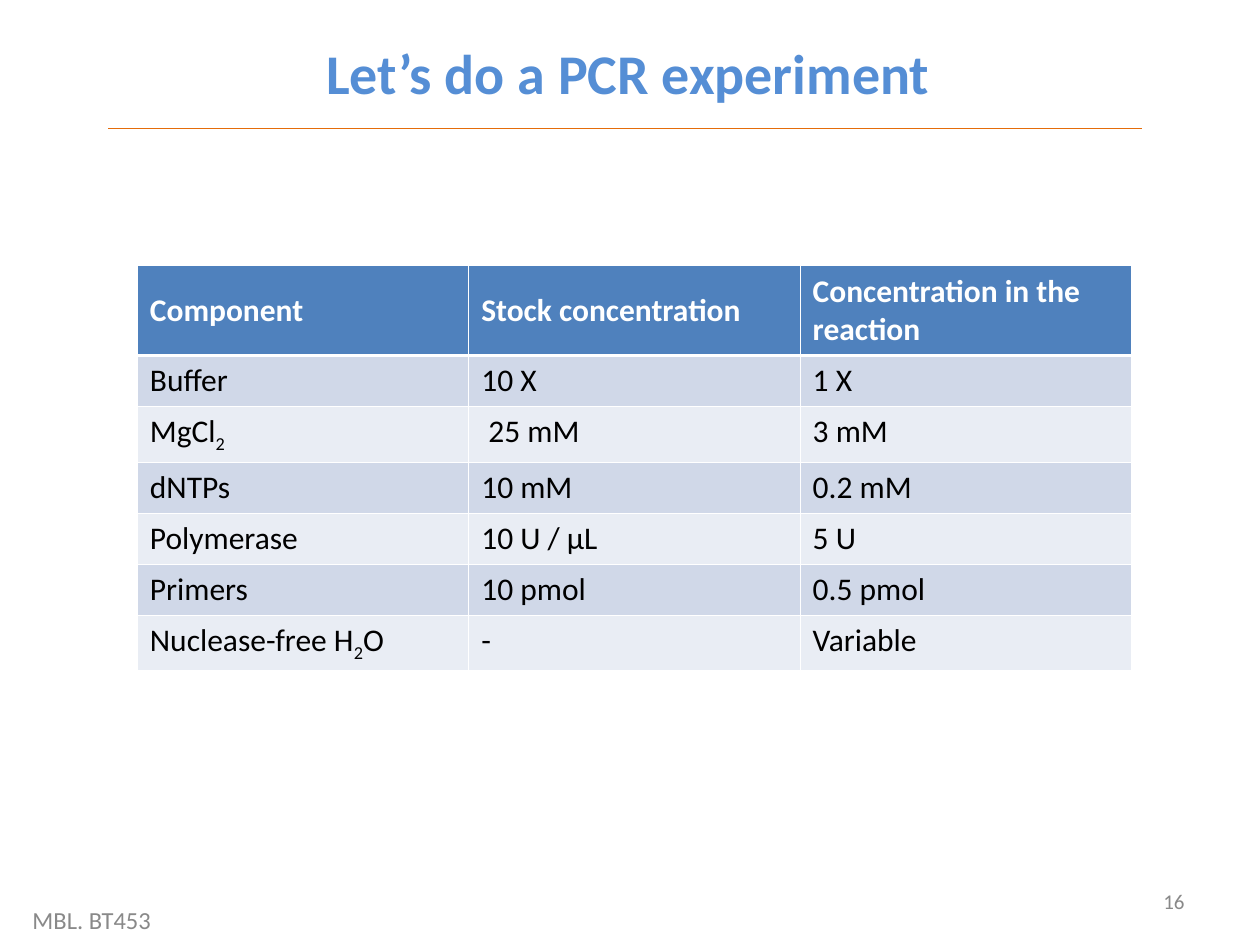
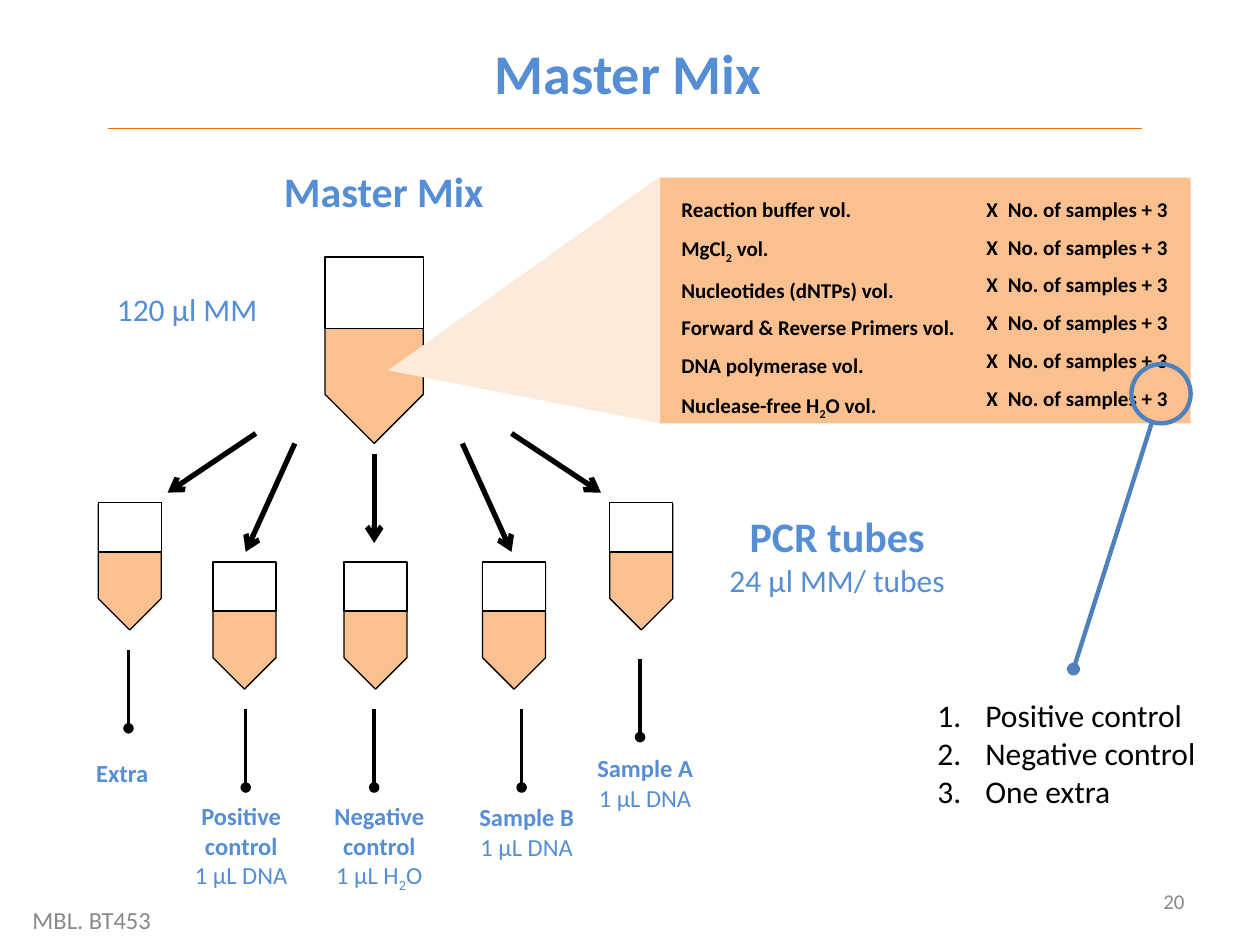
from lxml.etree import SubElement
from pptx import Presentation
from pptx.dml.color import RGBColor
from pptx.enum.shapes import MSO_CONNECTOR, MSO_SHAPE
from pptx.enum.text import MSO_ANCHOR, MSO_AUTO_SIZE, PP_ALIGN
from pptx.oxml.ns import qn
from pptx.util import Emu, Pt

PX = 9144  # one px is a hundredth of an inch
FONT = "Calibri"
COLORS = {
    "heading": "558ED5", "rule": "E46C0A", "footer": "898989",
    "black": "000000", "white": "FFFFFF", "liquid": "FAC090",
    "cone": "FDEADA", "accent": "4F81BD",
    "odd row": "D0D8E8", "even row": "E9EDF4",
}
TITLE_ONLY, TITLE_AND_BODY = 5, 1

REAGENTS = [
    ("Component", "Stock concentration", "Concentration in the reaction"),
    ("Buffer", "10 X", "1 X"),
    ("MgCl~2~", " 25 mM", "3 mM"),
    ("dNTPs", "10 mM", "0.2 mM"),
    ("Polymerase", "10 U / µL", "5 U"),
    ("Primers", "10 pmol", "0.5 pmol"),
    ("Nuclease-free H~2~O", "-", "Variable"),
]
ROW_HEIGHTS = [70, 40, 44, 40, 40, 40, 44]

MIX_VOLUMES = [
    "Reaction buffer vol.", "MgCl~2~ vol.", "Nucleotides (dNTPs) vol.",
    "Forward & Reverse Primers vol.", "DNA polymerase vol.",
    "Nuclease-free H~2~O vol.",
]

# tube left, tube top, stem x, stem top, label box, name, content
PCR_TUBES = [
    (78, 400, 102, 516, (23, 597, 148, 32), "Extra", None),
    (169, 447, 195, 563, (125, 631, 133, 80), "Positive control", "1 µL DNA"),
    (273, 447, 297, 563, (227, 631, 148, 80), "Negative control", "1 µL H~2~O"),
    (383, 447, 414, 563, (344, 632, 148, 56), "Sample B", "1 µL DNA"),
    (484, 400, 508, 523, (438, 593, 148, 56), "Sample A", "1 µL DNA"),
]
POURING_ARROWS = [
    ((203, 344), (133, 391)), ((234, 352), (195, 438)),
    ((297, 360), (297, 431)), ((367, 352), (406, 438)),
    ((406, 344), (477, 391)),
]


def px(*lengths):
    return [Emu(length * PX) for length in lengths]


def rgb(color):
    return RGBColor.from_string(COLORS[color])


def write(paragraph, text, size, color, bold=False):
    """Fill a paragraph; text between tildes becomes subscript."""
    for index, piece in enumerate(text.split("~")):
        if not piece:
            continue
        run = paragraph.add_run()
        run.text = piece
        run.font.name = FONT
        run.font.size = Pt(size)
        run.font.bold = bold
        run.font.color.rgb = rgb(color)
        if index % 2:
            run._r.get_or_add_rPr().set("baseline", "-25000")


def fill_frame(text_frame, lines, align=PP_ALIGN.LEFT, anchor=MSO_ANCHOR.MIDDLE):
    """Write (text, size, color, bold) lines and return their paragraphs."""
    text_frame.word_wrap = True
    text_frame.auto_size = MSO_AUTO_SIZE.NONE
    text_frame.vertical_anchor = anchor
    for index, line in enumerate(lines):
        paragraph = text_frame.add_paragraph() if index else text_frame.paragraphs[0]
        paragraph.alignment = align
        write(paragraph, *line)
    return text_frame.paragraphs


def add_text(slide, box, lines, align=PP_ALIGN.CENTER, anchor=MSO_ANCHOR.MIDDLE):
    return fill_frame(slide.shapes.add_textbox(*px(*box)).text_frame, lines, align, anchor)


def place(shape, box):
    shape.left, shape.top, shape.width, shape.height = px(*box)


def hang(paragraph, indent):
    properties = paragraph._p.get_or_add_pPr()
    properties.set("marL", str(indent * PX))
    properties.set("indent", str(-indent * PX))
    return properties


def paint(shape, fill=None, line=None, width=0.75):
    shape.shadow.inherit = False
    if fill:
        shape.fill.solid()
        shape.fill.fore_color.rgb = rgb(fill)
    else:
        shape.fill.background()
    if line:
        shape.line.color.rgb = rgb(line)
        shape.line.width = Pt(width)
    else:
        shape.line.fill.background()


def add_shape(slide, kind, box, **style):
    paint(slide.shapes.add_shape(kind, *px(*box)), **style)


def add_outline(slide, points, **style):
    builder = slide.shapes.build_freeform(*points[0], scale=PX)
    builder.add_line_segments(points[1:], close=True)
    paint(builder.convert_to_shape(), **style)


def add_line(slide, start, end, color, width, tail=None):
    line = slide.shapes.add_connector(MSO_CONNECTOR.STRAIGHT, *px(*start, *end))
    line.line.color.rgb = rgb(color)
    line.line.width = Pt(width)
    if tail:
        SubElement(line.line._get_or_add_ln(), qn("a:tailEnd"), type=tail)
    SubElement(line._element.spPr, qn("a:effectLst"))


def add_tube(slide, left, top, width, height, cap_height):
    right, bottom, middle = left + width, top + height, left + width // 2
    shoulder = bottom - width // 2
    add_outline(slide, [(right, top), (right, shoulder), (middle, bottom),
                        (left, shoulder), (left, top)], fill="liquid", line="black")
    add_shape(slide, MSO_SHAPE.RECTANGLE, (left, top - 1, width, cap_height),
              fill="white", line="black")


def set_border(cell, side, width):
    line = SubElement(cell._tc.get_or_add_tcPr(), qn(f"a:{side}"), w=str(Pt(width)))
    fill = SubElement(line, qn("a:solidFill"))
    SubElement(fill, qn("a:srgbClr"), val=COLORS["white"])


def add_reagent_table(slide):
    frame = slide.shapes.add_table(len(REAGENTS), 3, *px(109, 211, 789, sum(ROW_HEIGHTS)))
    table = frame.table
    for row, (texts, height) in enumerate(zip(REAGENTS, ROW_HEIGHTS)):
        table.rows[row].height = Emu(height * PX)
        header = row == 0
        fill = "accent" if header else "odd row" if row % 2 else "even row"
        for column, text in enumerate(texts):
            cell = table.cell(row, column)
            thick_side = {0: "lnB", 1: "lnT"}.get(row)
            for side in ("lnL", "lnR", "lnT", "lnB"):
                set_border(cell, side, 1.47 if side == thick_side else 0.45)
            cell.fill.solid()
            cell.fill.fore_color.rgb = rgb(fill)
            cell.vertical_anchor = MSO_ANCHOR.MIDDLE if header else MSO_ANCHOR.TOP
            write(cell.text_frame.paragraphs[0], text, 18,
                  "white" if header else "black", header)


def add_slide(presentation, layout, title, number):
    """Add a slide with the shared title, rule and footer."""
    slide = presentation.slides.add_slide(presentation.slide_layouts[layout])
    place(slide.shapes.title, (90, 31, 817, 53))
    fill_frame(slide.shapes.title.text_frame, [(title, 32, "heading", True)],
               PP_ALIGN.CENTER)
    add_line(slide, (86, 102), (906, 102), "rule", 0.75)
    add_text(slide, (717, 695, 233, 40), [(number, 12, "footer")], PP_ALIGN.RIGHT)
    add_text(slide, (16, 710, 350, 40), [("MBL. BT453", 14, "footer")], PP_ALIGN.LEFT)
    return slide


def add_mix_column(slide, box, texts, indent):
    lines = [(text, 12, "black", True) for text in texts]
    for paragraph in add_text(slide, box, lines, PP_ALIGN.LEFT, MSO_ANCHOR.TOP):
        hang(paragraph, indent)
        paragraph.line_spacing = 1.5


def add_mix_recipe(slide):
    add_shape(slide, MSO_SHAPE.RECTANGLE, (523, 141, 422, 195), fill="liquid")
    add_mix_column(slide, (531, 141, 273, 198), MIX_VOLUMES, 38)
    add_mix_column(slide, (773, 141, 172, 190),
                   ["X\tNo. of samples + 3"] * len(MIX_VOLUMES), 17)
    add_outline(slide, [(524, 140), (308, 294), (524, 336)], fill="cone")


def add_extra_samples(slide):
    """Circle the "+ 3" and list the three samples it stands for."""
    add_shape(slide, MSO_SHAPE.OVAL, (898, 289, 47, 47), line="accent", width=2.5)
    add_line(slide, (914, 336), (852, 531), "accent", 2.5, "oval")
    body = slide.placeholders[1]
    place(body, (734, 539, 227, 117))
    names = ["Positive control", "Negative control", "One extra"]
    for paragraph in fill_frame(body.text_frame, [(name, 18, "black") for name in names]):
        properties = hang(paragraph, 38)
        SubElement(properties, qn("a:buFont"), typeface=FONT)
        SubElement(properties, qn("a:buAutoNum"), type="arabicPeriod")
        paragraph.space_before = Pt(0)


def add_pcr_tube(slide, left, top, stem_x, stem_top, label_box, name, content):
    add_tube(slide, left, top, 50, 100, 39)
    add_line(slide, (stem_x, stem_top), (stem_x, stem_top + 62), "black", 2, "oval")
    lines = [(name, 14, "heading", True)]
    if content:
        lines.append((content, 14, "heading"))
    add_text(slide, label_box, lines, anchor=MSO_ANCHOR.TOP)


def main():
    presentation = Presentation()
    presentation.slide_width, presentation.slide_height = px(1000, 750)

    experiment = add_slide(presentation, TITLE_ONLY, "Let’s do a PCR experiment", "16")
    add_reagent_table(experiment)

    master_mix = add_slide(presentation, TITLE_AND_BODY, "Master Mix", "20")
    for start, end in POURING_ARROWS:
        add_line(master_mix, start, end, "black", 3, "arrow")
    add_tube(master_mix, 258, 205, 78, 147, 57)
    add_mix_recipe(master_mix)
    add_extra_samples(master_mix)
    for tube in PCR_TUBES:
        add_pcr_tube(master_mix, *tube)
    add_text(master_mix, (125, 125, 359, 53), [("Master Mix", 24, "heading", True)])
    add_text(master_mix, (47, 219, 203, 53), [("120 µl MM", 18, "heading")])
    add_text(master_mix, (563, 414, 203, 53),
             [("PCR tubes", 24, "heading", True), ("24 µl MM/ tubes", 18, "heading")])

    presentation.save("out.pptx")


if __name__ == "__main__":
    main()
